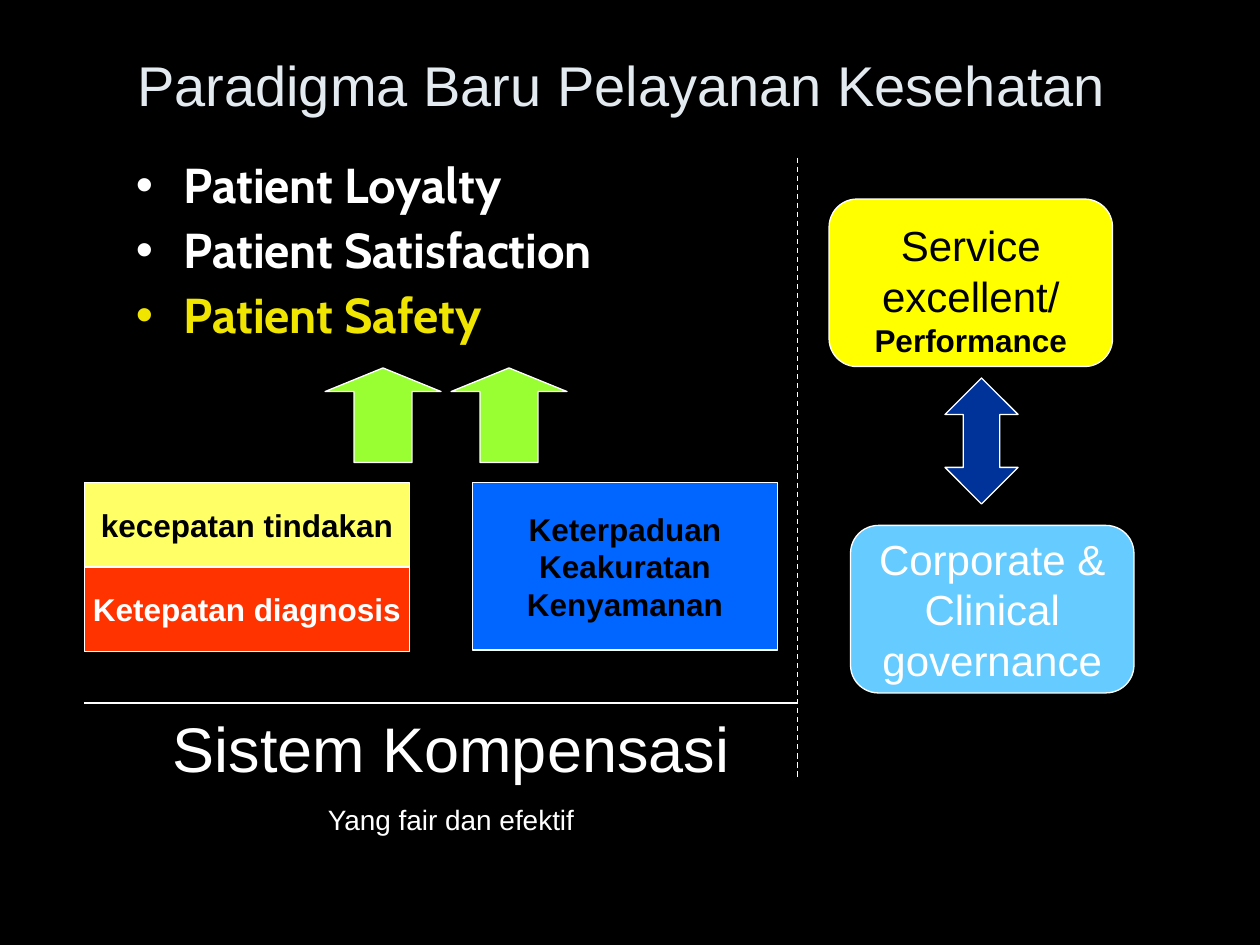
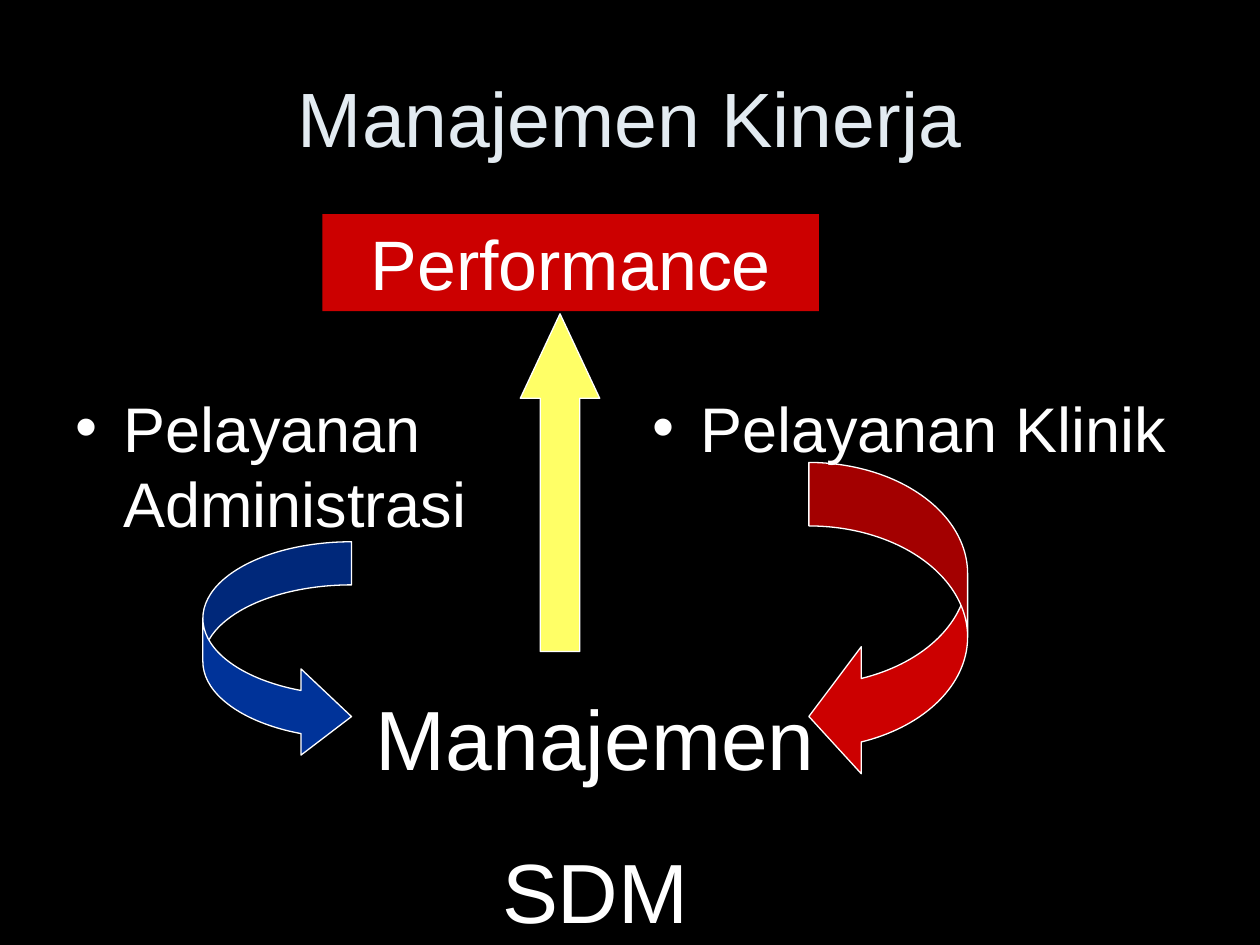
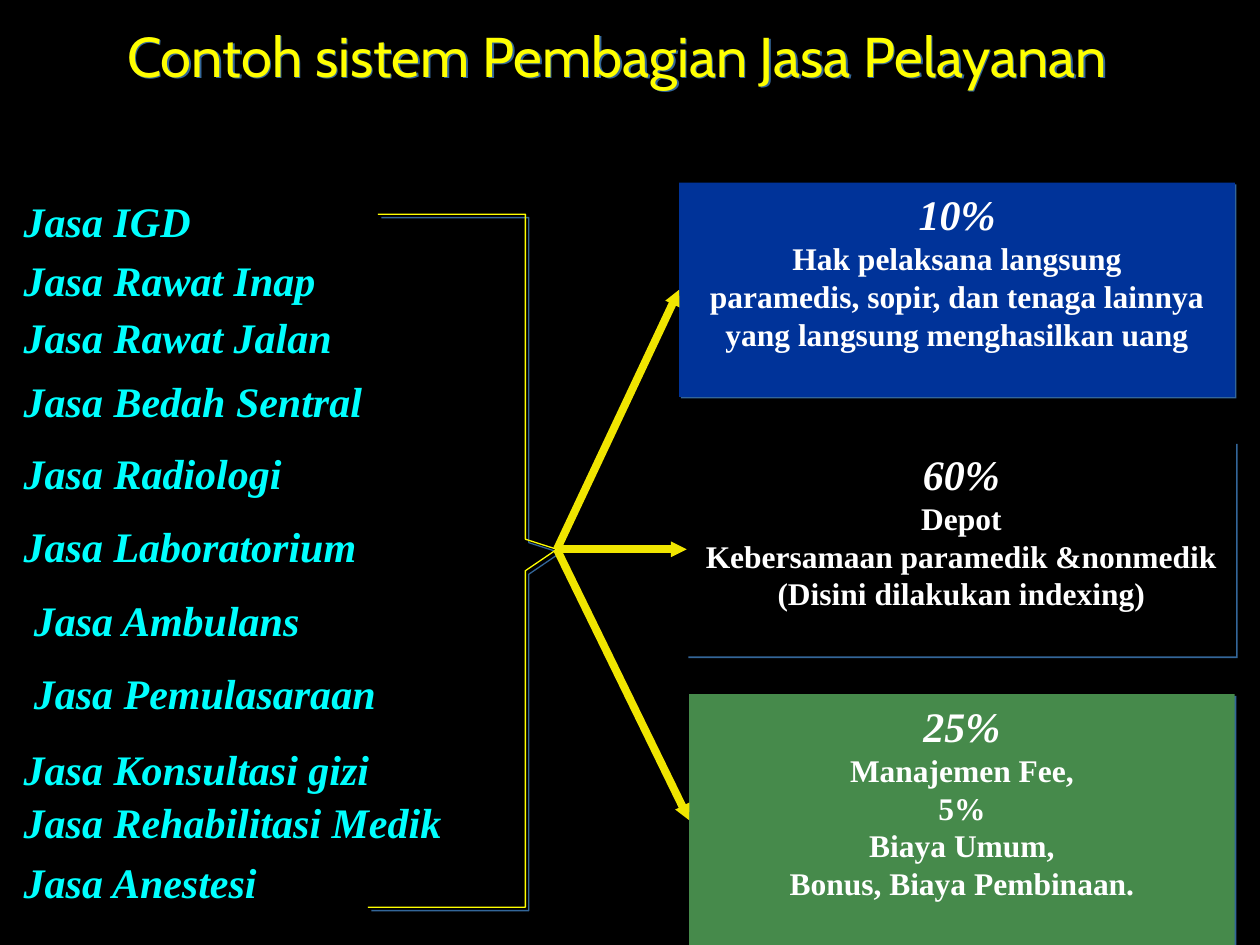
from lxml.etree import SubElement
from pptx import Presentation
from pptx.dml.color import RGBColor as RGB
from pptx.enum.dml import MSO_LINE as Dash
from pptx.enum.shapes import MSO_CONNECTOR as Connector, MSO_SHAPE as Shape
from pptx.enum.text import MSO_ANCHOR as Anchor, MSO_AUTO_SIZE as AutoSize, PP_ALIGN as Align
from pptx.oxml.ns import qn
from pptx.util import Inches, Pt

COLORS = {
    "black": "000000", "white": "FFFFFF", "title": "E3EBF1", "yellow": "FFFF00",
    "gold": "F0E500", "pale yellow": "FFFF66", "sky": "66CCFF", "navy": "003399",
    "orange": "FF3300", "blue": "0066FF", "lime": "99FF33", "red": "CC0000",
    "cyan": "00FFFF", "green": "468A4B", "shadow": "336699",
}


def color(name):
    return RGB.from_string(COLORS[name])


def write(shape, lines, style, anchor=Anchor.TOP, align=Align.CENTER, wrap=True,
          bullet=False, **spacing):
    """Fill a shape with lines; a line is a text and its changes to the style."""
    frame = shape.text_frame
    frame.auto_size, frame.word_wrap, frame.vertical_anchor = AutoSize.NONE, wrap, anchor
    for index, (text, changes) in enumerate(lines):
        paragraph = frame.paragraphs[0] if index == 0 else frame.add_paragraph()
        paragraph.text, paragraph.alignment = text, align
        look = {**style, **changes}
        tint = color(look.pop("color"))
        for name, value in spacing.items():
            if name != "space_before" or index:
                setattr(paragraph, name, value)
        if bullet:
            properties = paragraph._p.get_or_add_pPr()
            properties.set("marL", str(Inches(0.38)))
            properties.set("indent", str(-Inches(0.38)))
            bullet_color = SubElement(properties, qn("a:buClr"))
            SubElement(bullet_color, qn("a:srgbClr"), val=str(tint))
            SubElement(properties, qn("a:buFont"), typeface="Arial")
            SubElement(properties, qn("a:buChar"), char="•")
        font = paragraph.runs[0].font
        for name, value in look.items():
            setattr(font, name, value)
        font.color.rgb = tint


presentation = Presentation()
presentation.slide_width, presentation.slide_height = Inches(10), Inches(7.5)
background = presentation.slide_master.background.fill
background.solid()
background.fore_color.rgb = color("black")

# Text styles
arial = {"name": "Arial", "size": Pt(24), "color": "white"}
label = {**arial, "size": Pt(18), "bold": True}
cabin = {"name": "Cabin", "size": Pt(28), "bold": True, "color": "white"}
share = {"name": "Times New Roman", "size": Pt(18), "bold": True, "color": "white"}
percent = {"size": Pt(24), "italic": True}
service = {**share, **percent, "color": "cyan"}
black = {"color": "black"}

# Slides and titles
titles = [
    ("Paradigma Baru Pelayanan Kesehatan", (0.02, 0.33, 9.83, 0.67),
     {**arial, "size": Pt(32), "color": "title"}, {"anchor": Anchor.MIDDLE}),
    ("Manajemen Kinerja", (0.5, 0.3, 9, 1.25),
     {**arial, "size": Pt(44), "color": "title"}, {"anchor": Anchor.MIDDLE}),
    ("Contoh sistem Pembagian Jasa Pelayanan", (0.2, 0.35, 9.4, 0.37),
     {"name": "Cabin", "size": Pt(32), "color": "yellow"}, {"line_spacing": 0.5}),
]
slides = []
for text, box, style, options in titles:
    slide = presentation.slides.add_slide(presentation.slide_layouts[5])
    title = slide.shapes.title
    title.left, title.top, title.width, title.height = map(Inches, box)
    write(title, [(text, {})], style, **options)
    slides.append(slide)
paradigm, performance, sharing = slides
shadowed = [(sharing.shapes.title, 1.4)]

# Preset shapes: slide, kind, box, adjustments, fill, line
shape_list = {
    "service": (paradigm, Shape.ROUNDED_RECTANGLE, (6.58, 1.58, 2.25, 1.33), [0.167], "yellow", "white"),
    "governance": (paradigm, Shape.ROUNDED_RECTANGLE, (6.75, 4.17, 2.25, 1.33), [0.167], "sky", "white"),
    "link": (paradigm, Shape.UP_DOWN_ARROW, (7.5, 3, 0.58, 1), [0.34, 0.5], "navy", "white"),
    "diagnosis": (paradigm, Shape.RECTANGLE, (0.67, 4.5, 2.58, 0.67), [], "orange", "white"),
    "speed": (paradigm, Shape.RECTANGLE, (0.67, 3.83, 2.58, 0.67), [], "pale yellow", "white"),
    "quality": (paradigm, Shape.RECTANGLE, (3.75, 3.83, 2.42, 1.33), [], "blue", "white"),
    "left arrow": (paradigm, Shape.UP_ARROW, (2.58, 2.92, 0.92, 0.75), [0.5, 0.25], "lime", "white"),
    "right arrow": (paradigm, Shape.UP_ARROW, (3.58, 2.92, 0.92, 0.75), [0.5, 0.25], "lime", "white"),
    "administration arrow": (performance, Shape.CURVED_RIGHT_ARROW, (1.61, 4.3, 1.18, 1.73),
                             [0.29, 0.58, 0.34], "navy", "white"),
    "clinic arrow": (performance, Shape.CURVED_LEFT_ARROW, (6.42, 3.67, 1.26, 2.52),
                     [0.4, 0.8, 0.33], "red", "white"),
    "performance": (performance, Shape.RECTANGLE, (2.56, 1.7, 3.94, 0.77), [], "red", None),
    "rise": (performance, Shape.UP_ARROW, (4.13, 2.49, 0.63, 2.68), [0.5, 1.065], "pale yellow", "white"),
    "direct": (sharing, Shape.RECTANGLE, (5.39, 1.45, 4.41, 1.7), [], "navy", None),
    "depot": (sharing, Shape.RECTANGLE, (5.45, 3.51, 4.36, 1.7), [], "black", None),
    "management": (sharing, Shape.RECTANGLE, (5.47, 5.51, 4.33, 2), [], "green", None),
}
shapes = {}
for name, (slide, kind, box, adjustments, fill, line) in shape_list.items():
    shape = slide.shapes.add_shape(kind, *map(Inches, box))
    shape.shadow.inherit = False
    for index, value in enumerate(adjustments):
        shape.adjustments[index] = value
    shape.fill.solid()
    shape.fill.fore_color.rgb = color(fill)
    if line:
        shape.line.color.rgb = color(line)
        shape.line.width = Pt(0.75)
    else:
        shape.line.fill.background()
    shapes[name] = shape

# Text in the shapes
middle = {"anchor": Anchor.MIDDLE, "wrap": False}
shapes["service"].text_frame.margin_top = Inches(0.15)
shape_texts = [
    ("service", [("Service", black), ("excellent/", black),
                 ("Performance", {**label, **black})], arial, middle),
    ("governance", [("Corporate &", {}), ("Clinical", {}), ("governance", {})], arial, middle),
    ("diagnosis", [("Ketepatan diagnosis", {})], label, middle),
    ("speed", [("kecepatan tindakan", black)], label, middle),
    ("quality", [("Keterpaduan", black), ("Keakuratan", black), ("Kenyamanan", black)], label, middle),
    ("performance", [("Performance", {"size": Pt(40)})], arial, {}),
    ("direct", [("10%", percent), ("Hak pelaksana langsung", {}),
                ("paramedis, sopir, dan tenaga lainnya", {}),
                ("yang langsung menghasilkan uang", {})], share, {}),
    ("depot", [("60%", percent), ("Depot", {}), ("Kebersamaan paramedik &nonmedik", {}),
               ("(Disini dilakukan indexing)", {})], share, {}),
    ("management", [("25%", percent), ("Manajemen Fee,", {}), ("5%", {}),
                    ("Biaya Umum,", {}), ("Bonus, Biaya Pembinaan.", {})], share, {}),
]
for name, lines, style, options in shape_texts:
    write(shapes[name], lines, style, **options)
shadowed += [(shapes[name], 1.4) for name in ("direct", "depot", "management")]

# Text boxes: slide, box, lines, style, options
bullets = {"align": Align.LEFT, "bullet": True}
text_boxes = [
    (paradigm, (0.98, 1.23, 6.58, 1.33),
     [("Patient Loyalty", {}), ("Patient Satisfaction", {}), ("Patient Safety", {"color": "gold"})],
     cabin, {**bullets, "line_spacing": 0.9, "space_before": Pt(7)}),
    (paradigm, (1.08, 5.58, 5, 1.11),
     [("Sistem Kompensasi", {"size": Pt(36)}), ("Yang fair dan efektif", {"size": Pt(16)})],
     arial, {"space_before": Pt(10)}),
    (performance, (0.5, 3.04, 4.42, 3.66), [("Pelayanan Administrasi", {"size": Pt(36)})], arial, bullets),
    (performance, (5.08, 3.04, 4.42, 3.66), [("Pelayanan Klinik", {"size": Pt(36)})], arial, bullets),
    (performance, (2.4, 5.4, 4.65, 2.12),
     [("Manajemen", {"size": Pt(48)}), ("SDM", {"size": Pt(48)})], arial, {"space_before": Pt(30)}),
]
services = [
    ("IGD", 0.09, 1.5), ("Rawat Inap", 0.09, 1.97), ("Rawat Jalan", 0.09, 2.42),
    ("Bedah Sentral", 0.09, 2.93), ("Radiologi", 0.09, 3.5), ("Laboratorium", 0.09, 4.08),
    ("Ambulans", 0.17, 4.67), ("Pemulasaraan", 0.17, 5.25), ("Konsultasi gizi", 0.09, 5.85),
    ("Rehabilitasi Medik", 0.09, 6.27), ("Anestesi", 0.09, 6.75),
]
text_boxes += [(sharing, (left, top, 4, 0.5), [(f"Jasa {name}", {})], service, {"align": Align.LEFT})
               for name, left, top in services]
for slide, box, lines, style, options in text_boxes:
    write(slide.shapes.add_textbox(*map(Inches, box)), lines, style, **options)

# Bracket that gathers the services
hub = (4.42, 4.36)
corners = [(3, 1.7), (4.17, 1.7), (4.17, 4.28), hub, (4.17, 4.53), (4.17, 7.2), (2.92, 7.2)]
points = [(Inches(x), Inches(y)) for x, y in corners]
builder = sharing.shapes.build_freeform(*points[0])
builder.add_line_segments(points[1:], close=False)
bracket = builder.convert_to_shape()
bracket.fill.background()
bracket.line.color.rgb = color("yellow")
bracket.line.width = Pt(0.75)
shadowed.append((bracket, 2.8))

# Offset shadows
for shape, distance in shadowed:
    shape.shadow.inherit = False
    effects = shape._element.spPr.find(qn("a:effectLst"))
    shadow = SubElement(effects, qn("a:outerShdw"), dist=str(Pt(distance)), dir="2700000",
                        algn="ctr", rotWithShape="0")
    SubElement(shadow, qn("a:srgbClr"), val=COLORS["shadow"])

# Lines and arrows: slide, start, end, colour, width, dash, target box
connectors = [
    (paradigm, (6.33, 1.25), (6.33, 6.17), "white", 0.75, Dash.DASH, None),
    (paradigm, (0.67, 5.58), (6.33, 5.58), "white", 0.75, None, None),
    (sharing, hub, (5.39, 2.3), "gold", 4.5, None, "direct"),
    (sharing, hub, (5.47, 6.51), "gold", 4.5, None, "management"),
    (sharing, hub, (5.45, 4.36), "gold", 4.5, None, "depot"),
]
for slide, start, end, tint, width, dash, target in connectors:
    connector = slide.shapes.add_connector(Connector.STRAIGHT, *map(Inches, start + end))
    connector.line.color.rgb = color(tint)
    connector.line.width = Pt(width)
    if dash:
        connector.line.dash_style = dash
    if target:
        connector.end_connect(shapes[target], 1)
        SubElement(connector.line._get_or_add_ln(), qn("a:tailEnd"), type="triangle", w="sm", len="sm")
    SubElement(connector._element.spPr, qn("a:effectLst"))

presentation.save("out.pptx")
